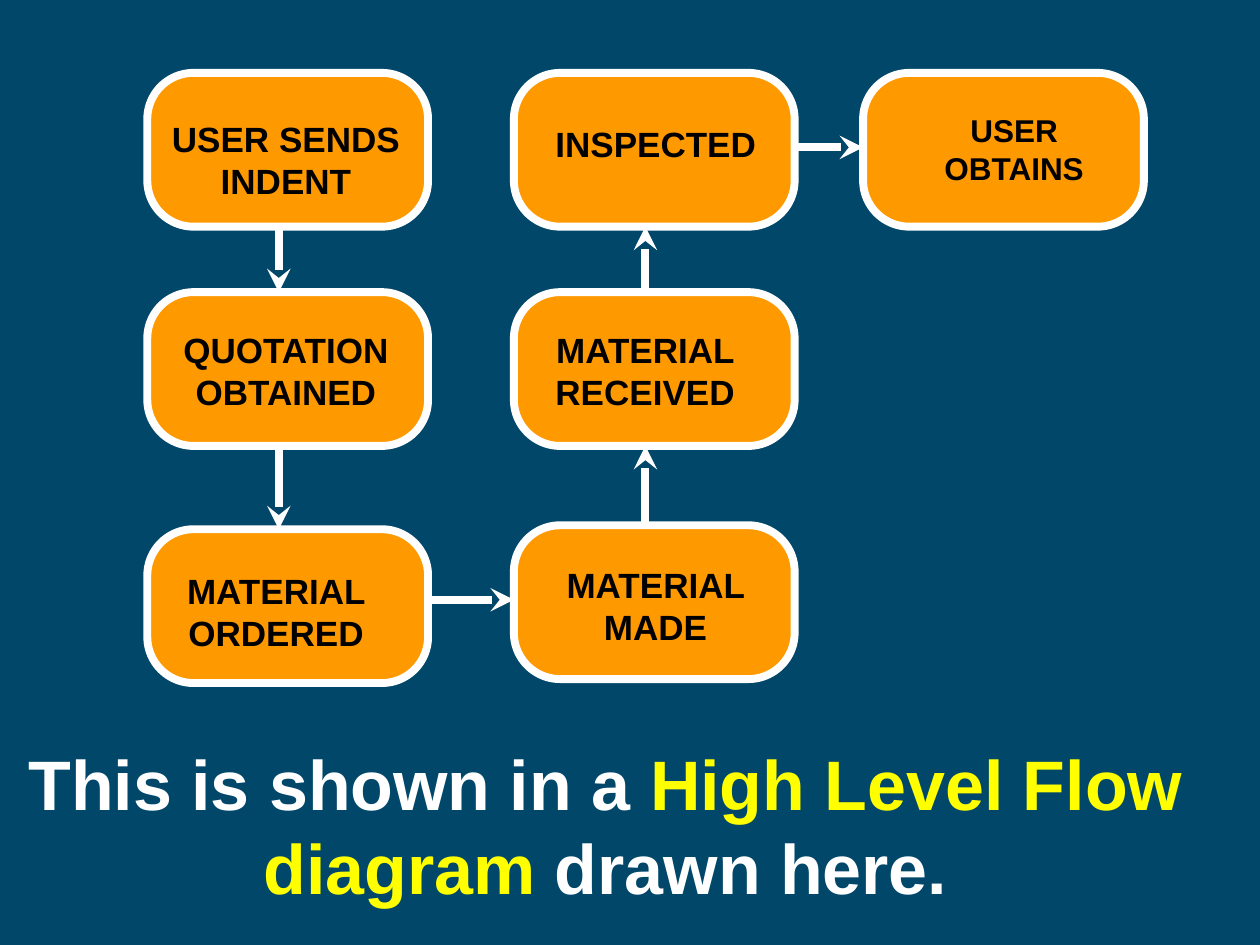
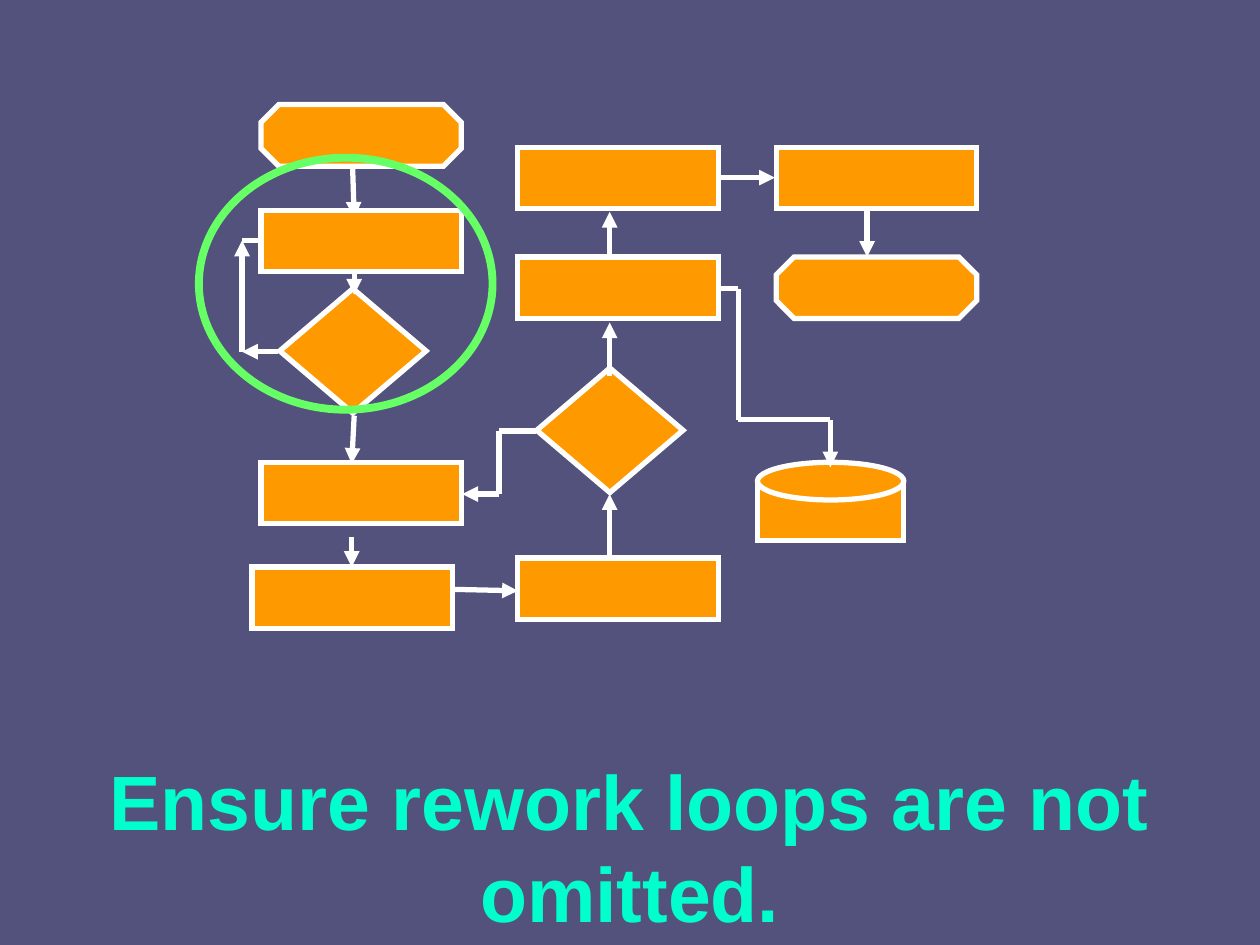
from dataclasses import dataclass
from itertools import pairwise

from lxml import etree
from pptx import Presentation
from pptx.dml.color import RGBColor
from pptx.enum.shapes import MSO_CONNECTOR, MSO_SHAPE
from pptx.enum.text import MSO_AUTO_SIZE, PP_ALIGN
from pptx.oxml.ns import qn
from pptx.util import Cm, Pt

LINE = MSO_CONNECTOR.STRAIGHT
ROUND = MSO_SHAPE.ROUNDED_RECTANGLE
RECT = MSO_SHAPE.RECTANGLE
OCT = MSO_SHAPE.OCTAGON
RHOMB = MSO_SHAPE.DIAMOND
OVAL = MSO_SHAPE.OVAL
CENTER = PP_ALIGN.CENTER
GROW = MSO_AUTO_SIZE.SHAPE_TO_FIT_TEXT


@dataclass(frozen=True)
class Theme:
    font: str = "Arial"
    sea: str = "00476A"
    dusk: str = "52527C"
    box: str = "FF9900"
    edge: str = "FFFFFF"
    ink: str = "000000"
    glow: str = "FFFF00"
    mint: str = "00FFCC"
    ring: str = "66FF66"
    bold: float = 4.5
    thin: float = 3
    head: int = 40
    shout: int = 44
    label: int = 20
    small: int = 18


T = Theme()

# Slide 1: steps in flow order, with box corner and label frame (left, top, width)
SIZE = (5.66, 3.1)
COLS = (2.97, 10.36, 17.4)
ROWS = (1.47, 5.89, 10.67)
STEPS = [
    ("USER SENDS INDENT", COLS[0], ROWS[0], (3.15, 2.24, 5.23), T.label),
    ("QUOTATION OBTAINED", COLS[0], ROWS[1], (3.35, 6.5, 4.83), T.label),
    ("MATERIAL ORDERED", COLS[0], ROWS[2], (3.15, 11.35, 4.83), T.label),
    ("MATERIAL MADE", COLS[1], 10.59, (10.8, 11.23, 4.83), T.label),
    ("MATERIAL RECEIVED", COLS[1], ROWS[1], (10.59, 6.5, 4.83), T.label),
    ("INSPECTED", COLS[1], ROWS[0], (10.36, 2.34, 5.72), T.label),
    ("USER OBTAINS", COLS[2], ROWS[0], (18.03, 2.11, 4.83), T.small),
]
LEAD = [
    ("This is shown in a ", T.edge),
    ("High Level Flow diagram", T.glow),
    (" drawn here.", T.edge),
]

# Slide 2: symbols by kind, then routes by their corner points
SIZES = {OCT: (4.04, 1.24), RECT: (4.04, 1.24), RHOMB: (2.95, 2.51)}
LEFT, MID, RIGHT = 5.26, 10.44, 15.65
MARKS = [
    (OCT, LEFT, 2.11), (RECT, LEFT, 4.24), (RHOMB, 5.64, 5.82),
    (RECT, LEFT, 9.32), (RECT, 5.08, 11.43), (RECT, MID, 11.25),
    (RHOMB, 10.82, 7.42), (RECT, MID, 5.18), (RECT, MID, 2.97),
    (RECT, RIGHT, 2.97), (OCT, RIGHT, 5.18),
]
DRUM = [(RECT, 15.27, 9.73, 2.95, 1.17), (OVAL, 15.27, 9.32, 2.95, 0.76)]
RING = (4.01, 3.18, 5.92, 5.08)
BACK = [
    [(12.29, 12.19), (12.29, 9.96)],
    [(8.2, 11.86), (10.44, 11.91)],
    [(7.09, 2.79), (7.14, 4.39)],
]
FRONT = [
    [(5.61, 7.09), (4.88, 7.09)],
    [(4.88, 7.09), (4.88, 4.85)],
    [(10.8, 8.69), (10.06, 8.69), (10.06, 9.96), (9.32, 9.96)],
    [(14.5, 5.82), (14.88, 5.82), (14.88, 8.46), (16.74, 8.46), (16.74, 9.42)],
    [(14.5, 3.58), (15.62, 3.58)],
    [(17.48, 4.22), (17.48, 5.18)],
    [(7.14, 5.44), (7.14, 5.94)],
    [(7.14, 8.38), (7.09, 9.35)],
    [(7.09, 10.82), (7.09, 11.43)],
    [(12.29, 7.57), (12.29, 6.5)],
    [(12.29, 5.16), (12.29, 4.27)],
]
STUB = [(4.88, 4.85), (5.23, 4.85)]
CRY = [("Ensure rework loops are not omitted.", T.mint)]


def rgb(code):
    return RGBColor.from_string(code)


def page(deck, tint):
    slide = deck.slides.add_slide(deck.slide_layouts[6])
    fill = slide.background.fill
    fill.solid()
    fill.fore_color.rgb = rgb(tint)
    return slide


def stroke(item, tint, width):
    item.line.color.rgb = rgb(tint)
    item.line.width = Pt(width)
    return item.line._get_or_add_ln()


def shape(slide, kind, spot, width, fill=T.box, edge=T.edge, bend=None):
    item = slide.shapes.add_shape(kind, *map(Cm, spot))
    item.shadow.inherit = False
    if fill:
        item.fill.solid()
        item.fill.fore_color.rgb = rgb(fill)
    else:
        item.fill.background()
    join = etree.SubElement(stroke(item, edge, width), qn("a:miter"))
    join.set("lim", "800000")
    if bend is not None:
        item.adjustments[0] = bend


def route(slide, points, width, tip="triangle"):
    """Join the points; the last stretch bears the tip."""
    for start, end in pairwise(points):
        item = slide.shapes.add_connector(LINE, *map(Cm, start + end))
        edge = stroke(item, T.edge, width)
        etree.SubElement(item._element.spPr, qn("a:effectLst"))
    if tip:
        etree.SubElement(edge, qn("a:tailEnd")).set("type", tip)


def write(slide, spot, parts, size):
    frame = slide.shapes.add_textbox(*map(Cm, spot)).text_frame
    frame.word_wrap = True
    frame.auto_size = GROW
    para = frame.paragraphs[0]
    para.alignment = CENTER
    for words, tint in parts:
        run = para.add_run()
        run.text = words
        font = run.font
        font.name, font.size, font.bold = T.font, Pt(size), True
        font.color.rgb = rgb(tint)


def link(one, two):
    """End points of the arrow between two neighbour boxes."""
    (x1, y1), (x2, y2) = one, two
    wide, high = SIZE
    if x1 == x2:
        x = x1 + 2.65
        return [(x, y1 + high), (x, y2)] if y1 < y2 else [(x, y1), (x, y2 + high)]
    y = y2 + 1.5
    return [(x1 + wide, y), (x2, y)]


def overview(deck):
    slide = page(deck, T.sea)
    write(slide, (0, 14.81, 24.41, 3.63), LEAD, T.head)
    spots = [(x, y) for _, x, y, _, _ in STEPS]
    for spot in spots:
        shape(slide, ROUND, spot + SIZE, T.bold, bend=0.3)
    for one, two in pairwise(spots):
        route(slide, link(one, two), T.bold, "stealth")
    for words, _, _, frame, size in STEPS:
        high = 1.09 if " " not in words else 1.96 * size / T.label
        write(slide, frame + (high,), [(words, T.ink)], size)


def rework(deck):
    slide = page(deck, T.dusk)
    write(slide, (0, 15.06, 25.4, 3.99), CRY, T.shout)
    for points in BACK:
        route(slide, points, T.thin)
    for kind, x, y in MARKS:
        bend = 0.29 if kind == OCT else None
        shape(slide, kind, (x, y) + SIZES[kind], T.thin, bend=bend)
    for kind, *spot in DRUM:
        shape(slide, kind, spot, T.thin)
    for points in FRONT:
        route(slide, points, T.thin)
    route(slide, STUB, T.thin, None)
    # Ring round the rework loop
    shape(slide, OVAL, RING, T.bold, None, T.ring)


def main():
    deck = Presentation()
    deck.slide_width, deck.slide_height = Cm(25.4), Cm(19.05)
    overview(deck)
    rework(deck)
    deck.save("out.pptx")


if __name__ == "__main__":
    main()
